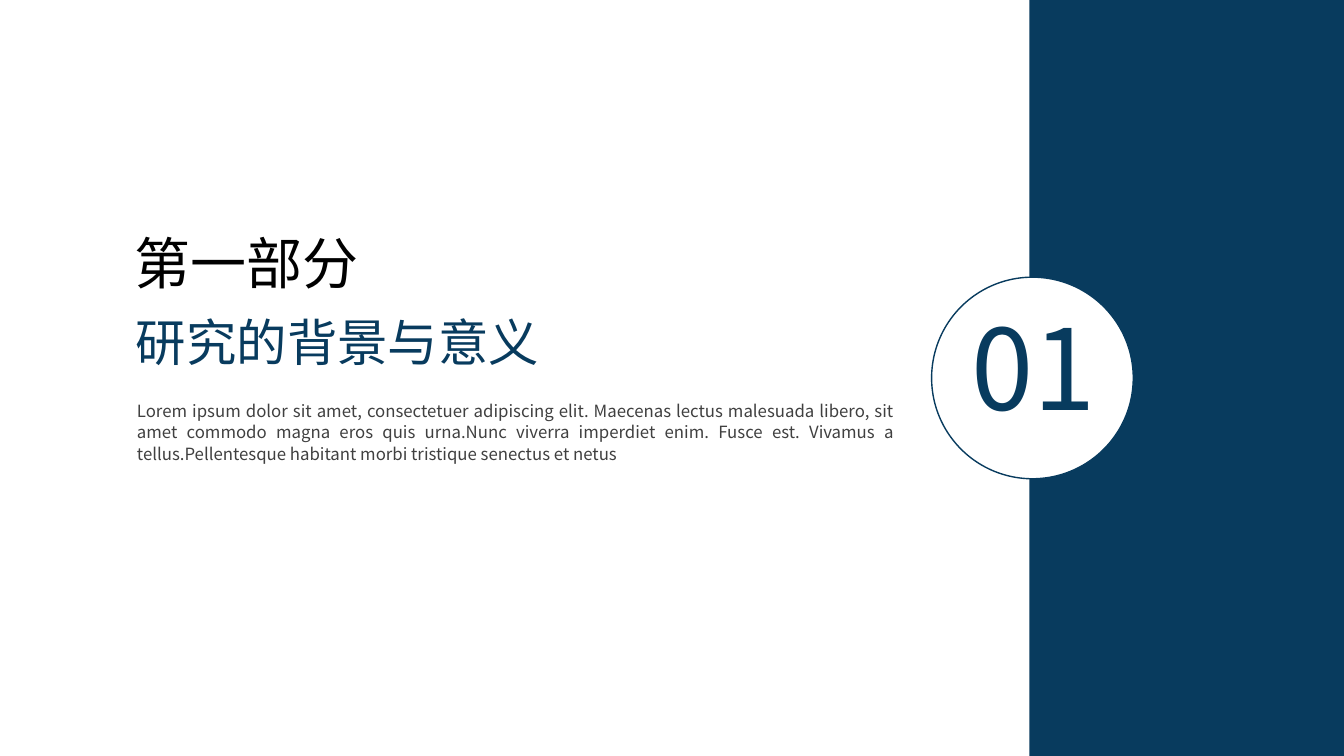
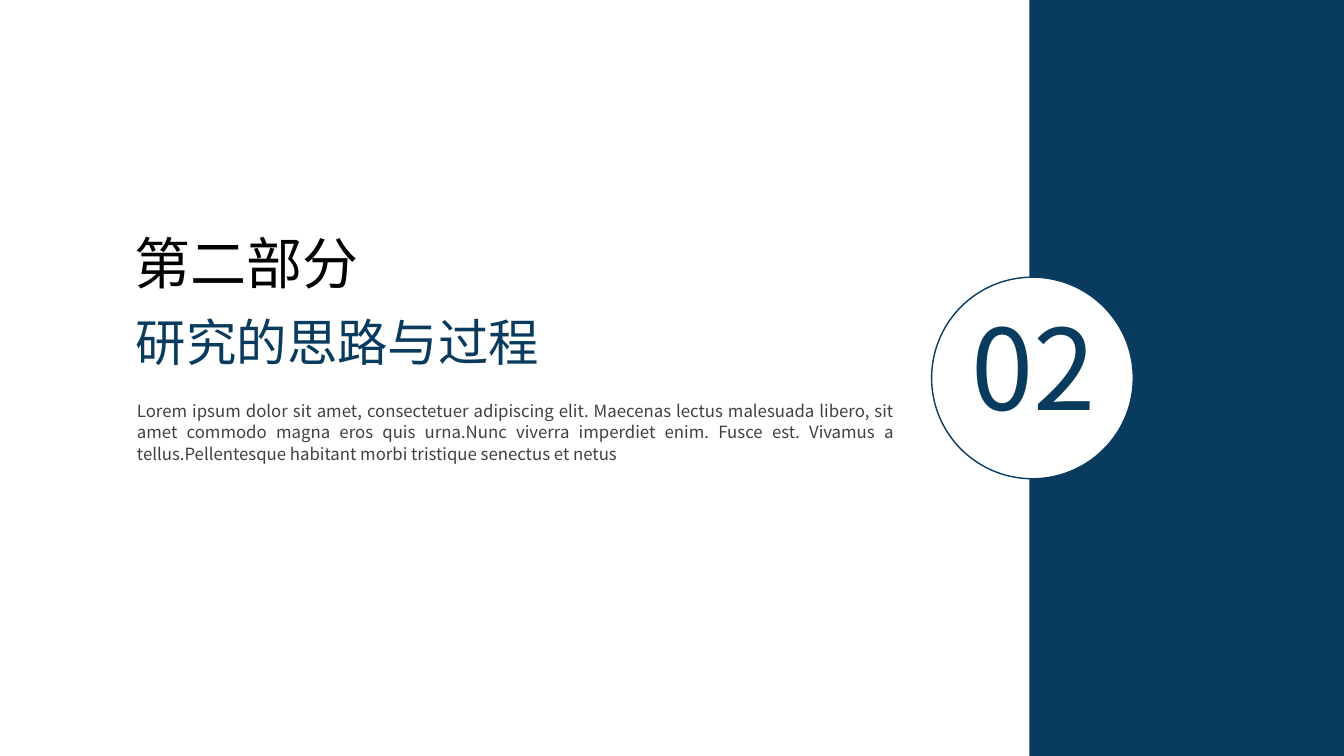
from pptx import Presentation
from pptx.dml.color import RGBColor
from pptx.enum import shapes, text
from pptx.oxml import ns
from pptx.util import Inches, Pt
from lxml import etree

NAVY = RGBColor(0x08, 0x3B, 0x5E)
WHITE = RGBColor(0xFF, 0xFF, 0xFF)
BLACK = RGBColor(0, 0, 0)
GREY = RGBColor(0x40, 0x40, 0x40)
FONT_JP = "Noto Sans CJK JP"
FONT_SC = "Noto Sans CJK SC"

BODY = ("Lorem ipsum dolor sit amet, consectetuer adipiscing elit. Maecenas lectus "
        "malesuada libero, sit amet commodo magna eros quis urna.Nunc viverra imperdiet "
        "enim. Fusce est. Vivamus a tellus.Pellentesque habitant morbi tristique "
        "senectus et netus")
SECTIONS = [
    ("01", "第一部分", "研究的背景与意义"),
    ("02", "第二部分", "研究的思路与过程"),
]

# Text styles: character format, alignment and line spacing
STYLES = {
    "title": (dict(name=FONT_JP, size=Pt(36)), NAVY, text.PP_ALIGN.LEFT, 0.89),
    "body": (dict(name=FONT_SC, size=Pt(12)), GREY, text.PP_ALIGN.JUSTIFY, 1.07),
    "number": (dict(name=FONT_JP, size=Pt(80)), NAVY, text.PP_ALIGN.CENTER, 0.89),
    "part": (dict(name=FONT_SC, size=Pt(40)), BLACK, text.PP_ALIGN.LEFT, 0.91),
}


def add_shape(s, kind, box, fill, line=None):
    sp = s.shapes.add_shape(kind, *[Inches(v) for v in box])
    sp.shadow.inherit = False
    sp.fill.solid()
    sp.fill.fore_color.rgb = fill
    if line is None:
        sp.line.fill.background()
    else:
        sp.line.color.rgb = line
        sp.line.width = Pt(1)


def add_text(s, box, content, style):
    font, color, align, spacing = STYLES[style]
    tf = s.shapes.add_textbox(*[Inches(v) for v in box]).text_frame
    tf.word_wrap = True
    tf.auto_size = text.MSO_AUTO_SIZE.SHAPE_TO_FIT_TEXT
    p = tf.paragraphs[0]
    p.alignment = align
    p.line_spacing = spacing
    r = p.add_run()
    r.text = content
    for key, value in font.items():
        setattr(r.font, key, value)
    r.font.color.rgb = color
    # East Asian characters take their own typeface element
    etree.SubElement(r.font._element, ns.qn("a:ea"), typeface=font["name"])


prs = Presentation()
prs.slide_width, prs.slide_height = Inches(13.33), Inches(7.5)

for number, part, title in SECTIONS:
    s = prs.slides.add_slide(prs.slide_layouts[6])

    # Side band and number disc
    add_shape(s, shapes.MSO_SHAPE.RECTANGLE, (10.21, 0, 3.13, 7.5), NAVY)
    add_shape(s, shapes.MSO_SHAPE.OVAL, (9.24, 2.75, 2, 2), WHITE, NAVY)

    # Section texts
    add_text(s, (1.25, 3.11, 4.43, 0.71), title, "title")
    add_text(s, (1.26, 3.91, 7.71, 0.87), BODY, "body")
    add_text(s, (9.25, 3.07, 2, 1.45), number, "number")
    add_text(s, (1.24, 2.29, 3.26, 0.77), part, "part")

prs.save("out.pptx")
